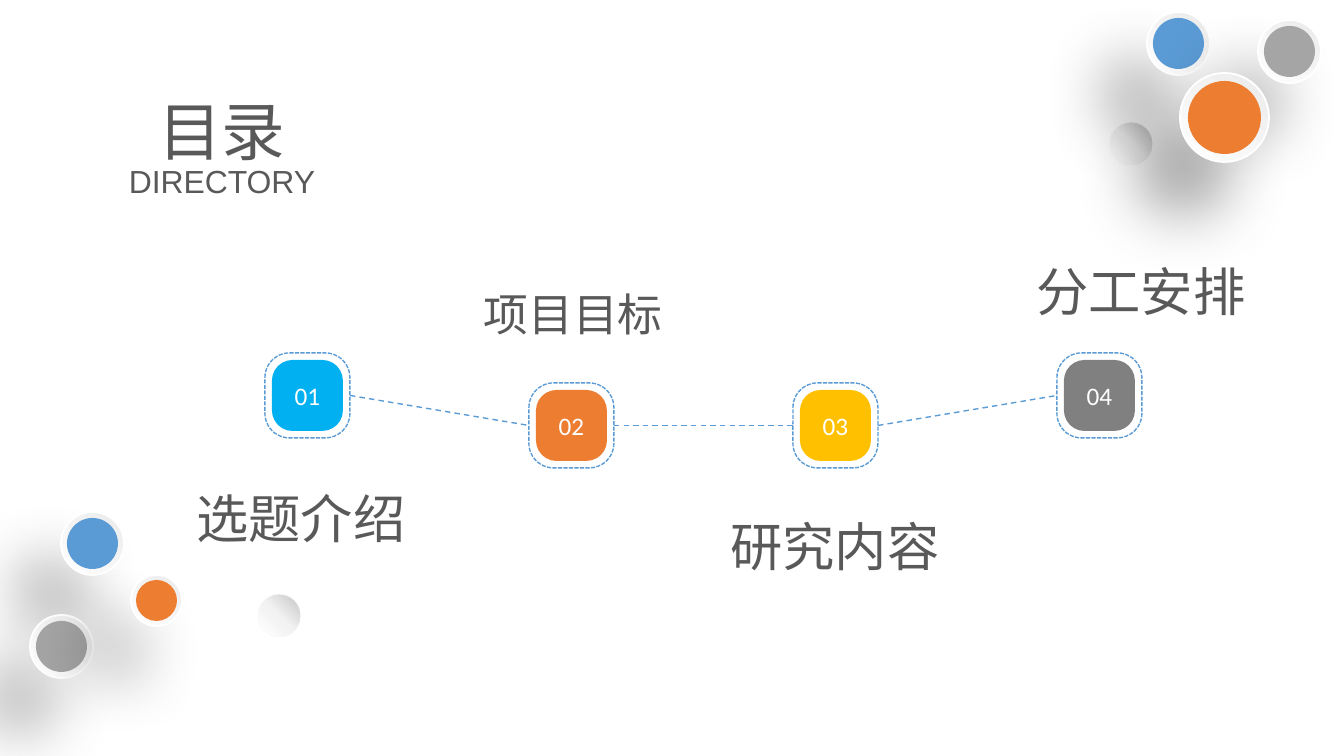
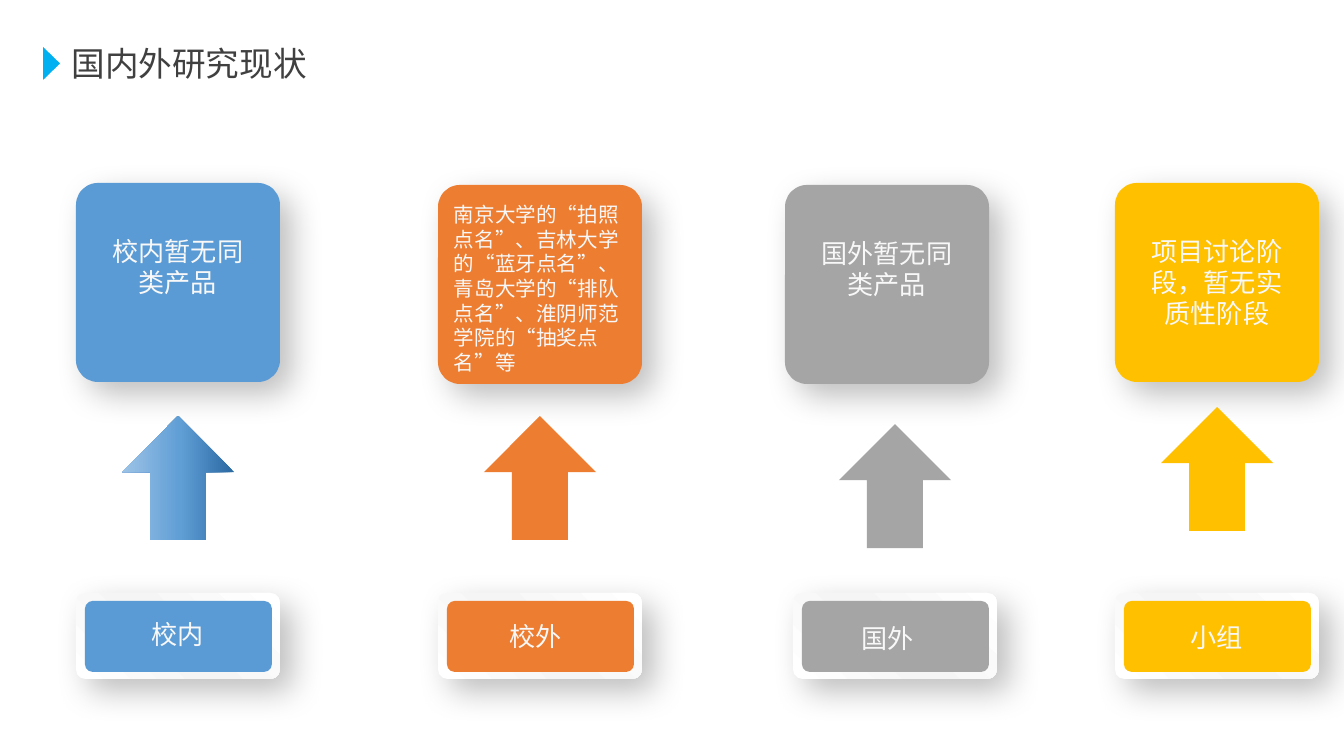
"""Build the directory slide and the research status slide."""
import lxml.etree
import pptx
import pptx.dml.color
import pptx.enum.dml
import pptx.enum.shapes
import pptx.enum.text
import pptx.oxml.ns
import pptx.util

RGB = pptx.dml.color.RGBColor
KIND = pptx.enum.shapes.MSO_SHAPE
DASH = pptx.enum.dml.MSO_LINE
ALIGN = pptx.enum.text.PP_ALIGN
ANCHOR = pptx.enum.text.MSO_ANCHOR
FIT = pptx.enum.text.MSO_AUTO_SIZE
qn = pptx.oxml.ns.qn

PX = 914400 / 134.4
WIDTH, HEIGHT = 1344, 756

BLUE = RGB(0x5B, 0x9B, 0xD5)
ORANGE = RGB(0xED, 0x7D, 0x31)
GRAY = RGB(0xA5, 0xA5, 0xA5)
YELLOW = RGB(0xFF, 0xC0, 0x00)
CYAN = RGB(0x00, 0xB0, 0xF0)
DARK_GRAY = RGB(0x80, 0x80, 0x80)
HEADING = RGB(0x59, 0x59, 0x59)
TITLE = RGB(0x40, 0x40, 0x40)
PALE = RGB(0xF8, 0xF8, 0xF8)
WHITE = RGB(0xFF, 0xFF, 0xFF)

CJK = "Noto Sans CJK SC"

RING_FILL = (126, [(0, "EBEBEB"), (100, "FEFEFE")])
RIM_FILL = (135, [(0, "F2F2F2"), (55, "F2F2F2"), (100, "D9D9D9")])
PEARL_FILL = (315, [(0, "FFFFFF"), (51, "F2F2F2"), (100, "C5C5C5")])
PANEL_FILL = (315, [(0, "FFFFFF"), (47, "F5F5F5"), (100, "FFFFFF")])
ARROW_FILL = (270, [(0, "2A69A2"), (48, "609ED6"), (100, "9DC3E6")])

BUBBLE_SHADOW = {"alpha": 38, "blur": 36, "dist": 35, "angle": 130}
CARD_SHADOW = {"alpha": 25, "blur": 18, "dist": 9, "angle": 45}

PEARLS = [(258, 594), (1110, 122)]
BUBBLES = [
    (61, 512, 63, 51, BLUE), (30, 615, 63, 51, GRAY), (131, 575, 51, 41, ORANGE),
    (1147, 12, 63, 51, BLUE), (1258, 20, 63, 51, GRAY), (1180, 73, 89, 73, ORANGE),
]

STEPS = [
    ("01", CYAN, 353, "选题介绍", (176, 480, 250, 77), 28),
    ("02", ORANGE, 383, "项目目标", (448, 280, 250, 67), 24),
    ("03", YELLOW, 383, "研究内容", (710, 508, 250, 77), 28),
    ("04", DARK_GRAY, 353, "分工安排", (1016, 253, 250, 77), 28),
]
STEP_LEFT, STEP_PITCH, STEP_SIZE, STEP_INSET = 265, 264, 85, 7

MIDDLE_NOTE = {"offset": (22, 48), "box": (160, 109), "size": 14, "align": ALIGN.CENTER}
LONG_NOTE = {"offset": (7, 13), "box": (192, 167), "size": 11, "align": ALIGN.LEFT}
COLUMNS = [
    {"scope": "校内", "scope_at": (98, 614), "status": "校内暂无同类产品", "color": BLUE,
     "panel": 76, "card": (76, 183), "arrow": 422, "arrow_fill": ARROW_FILL,
     "note": MIDDLE_NOTE},
    {"scope": "校外", "scope_at": (456, 616),
     "status": "南京大学的“拍照点名”、吉林大学的“蓝牙点名”、青岛大学的“排队点名”、淮阴师范学院的“抽奖点名”等",
     "color": ORANGE, "panel": 438, "card": (438, 185), "arrow": 422,
     "arrow_fill": ORANGE, "note": LONG_NOTE},
    {"scope": "国外", "scope_at": (808, 618), "status": "国外暂无同类产品", "color": GRAY,
     "panel": 793, "card": (785, 185), "arrow": 430, "arrow_fill": GRAY,
     "note": MIDDLE_NOTE},
    {"scope": "小组", "scope_at": (1137, 617), "status": "项目讨论阶段，暂无实质性阶段",
     "color": YELLOW, "panel": 1115, "card": (1115, 183), "arrow": 413,
     "arrow_fill": YELLOW, "note": MIDDLE_NOTE},
]
PANEL_TOP = 593


def emu(*lengths):
    return [pptx.util.Emu(round(length * PX)) for length in lengths]


def add_node(parent, tag, **values):
    attributes = {name: str(value) for name, value in values.items()}
    return lxml.etree.SubElement(parent, qn(tag), attributes)


def paint(fill, look):
    if look is None:
        fill.background()
    elif isinstance(look, RGB):
        fill.solid()
        fill.fore_color.rgb = look
    else:
        fill.gradient()
        fill.gradient_angle = (360 - look[0]) % 360


def set_stops(shape, stops):
    stop_list = next(shape.element.spPr.iter(qn("a:gsLst")))
    for stop in list(stop_list):
        stop_list.remove(stop)
    for position, color in stops:
        add_node(add_node(stop_list, "a:gs", pos=position * 1000), "a:srgbClr", val=color)


def set_line(line, color, width, dash=None):
    line.color.rgb = color
    line.width = pptx.util.Pt(width)
    if dash is not None:
        line.dash_style = dash


def draw(slide, kind, box, look=None, line=None, corner=None, shadow=None, turn=0):
    shape = slide.shapes.add_shape(kind, *emu(*box))
    paint(shape.fill, look)
    if isinstance(look, tuple) and not isinstance(look, RGB):
        set_stops(shape, look[1])
    if line:
        set_line(shape.line, *line)
    else:
        shape.line.fill.background()
    if corner is not None:
        shape.adjustments[0] = corner
    shape.rotation = turn
    shape.shadow.inherit = False
    if shadow:
        cast = add_node(shape.element.spPr.find(qn("a:effectLst")), "a:outerShdw",
                        blurRad=shadow["blur"] * 12700, dist=shadow["dist"] * 12700,
                        dir=shadow["angle"] * 60000, algn="ctr", rotWithShape=0)
        add_node(add_node(cast, "a:srgbClr", val="000000"), "a:alpha",
                 val=shadow["alpha"] * 1000)
    return shape


def write(shape, words, size, color, font="Calibri", align=ALIGN.CENTER, insets=None, **layout):
    frame = shape.text_frame
    frame.text = words
    layout = {"word_wrap": True, "vertical_anchor": ANCHOR.TOP, **layout}
    if insets:
        across, down = emu(*insets)
        layout.update(margin_left=across, margin_right=across,
                      margin_top=down, margin_bottom=down)
    for name, value in layout.items():
        setattr(frame, name, value)
    paragraph = frame.paragraphs[0]
    paragraph.alignment = align
    run = paragraph.runs[0]
    for name, value in {"size": pptx.util.Pt(size), "name": font, "bold": False}.items():
        setattr(run.font, name, value)
    run.font.color.rgb = color
    add_node(run.font._element, "a:ea", typeface=CJK)


def place_title(slide, words, box, size, color, align):
    title = slide.shapes.title
    for name, value in zip(("left", "top", "width", "height"), emu(*box)):
        setattr(title, name, value)
    write(title, words, size, color, CJK, align, word_wrap=False,
          auto_size=FIT.SHAPE_TO_FIT_TEXT)


def add_bubbles(slide):
    for left, top in PEARLS:
        draw(slide, KIND.DONUT, (left, top, 43, 43), RIM_FILL, corner=0.05)
        draw(slide, KIND.OVAL, (left, top + 1, 42, 42), PEARL_FILL)
    for left, top, outer, inner, color in BUBBLES:
        gap = (outer - inner) / 2
        draw(slide, KIND.OVAL, (left, top, outer, outer), RING_FILL, (WHITE, 1),
             shadow=BUBBLE_SHADOW)
        draw(slide, KIND.OVAL, (left + gap, top + gap, inner, inner), color)


def build_directory(slide):
    place_title(slide, "目录", (144, 85, 156, 91), 34.1, HEADING, ALIGN.CENTER)
    add_bubbles(slide)
    subtitle = slide.shapes.add_textbox(*emu(109, 155, 226, 52))
    write(subtitle, "DIRECTORY", 17.1, HEADING, "Arial", auto_size=FIT.SHAPE_TO_FIT_TEXT)

    frames = []
    tile_size = STEP_SIZE - 2 * STEP_INSET
    for index, (number, color, top, topic, topic_box, size) in enumerate(STEPS):
        left = STEP_LEFT + index * STEP_PITCH
        tile = draw(slide, KIND.ROUNDED_RECTANGLE,
                    (left + STEP_INSET, top + STEP_INSET, tile_size, tile_size),
                    color, corner=0.29)
        write(tile, number, 13.5, WHITE, vertical_anchor=ANCHOR.MIDDLE)
        label = slide.shapes.add_textbox(*emu(*topic_box))
        write(label, topic, size, HEADING, CJK, auto_size=FIT.SHAPE_TO_FIT_TEXT)
        frames.append(draw(slide, KIND.ROUNDED_RECTANGLE, (left, top, STEP_SIZE, STEP_SIZE),
                           line=(BLUE, 0.75, DASH.SQUARE_DOT), corner=0.29))

    for before, after in zip(frames, frames[1:]):
        link = slide.shapes.add_connector(pptx.enum.shapes.MSO_CONNECTOR.STRAIGHT, 0, 0, 0, 0)
        link.begin_connect(before, 3)
        link.end_connect(after, 1)
        set_line(link.line, BLUE, 0.75, DASH.DASH)
        add_node(link.element.spPr, "a:effectLst")


def build_status(slide):
    place_title(slide, "国内外研究现状", (58, 36, 265, 54), 18, TITLE, ALIGN.LEFT)
    draw(slide, KIND.ISOSCELES_TRIANGLE, (35, 55, 33, 17), CYAN, turn=90)
    for column in COLUMNS:
        color, panel, note = column["color"], column["panel"], column["note"]
        left, top = column["card"]
        plates = [
            ((panel, PANEL_TOP, 204, 86), PANEL_FILL, CARD_SHADOW),
            ((panel + 9, PANEL_TOP + 8, 187, 71), color, None),
            ((left, top, 204, 199), color, CARD_SHADOW),
            ((left + 9, top + 17, 187, 164), color, None),
        ]
        for box, look, shadow in plates:
            draw(slide, KIND.ROUNDED_RECTANGLE, box, look, corner=0.11, shadow=shadow)
        scope = slide.shapes.add_textbox(*emu(*column["scope_at"], 160, 47))
        write(scope, column["scope"], 14, PALE, insets=(9, 4))
        across, down = note["offset"]
        status = draw(slide, KIND.RECTANGLE, (left + across, top + down, *note["box"]), color)
        write(status, column["status"], note["size"], PALE, align=note["align"], insets=(9, 4))
        draw(slide, KIND.RIGHT_ARROW, (panel + 40, column["arrow"], 124, 112),
             column["arrow_fill"], turn=270)


def main():
    deck = pptx.Presentation()
    deck.slide_width, deck.slide_height = emu(WIDTH, HEIGHT)
    title_only = deck.slide_layouts[5]
    for build in (build_directory, build_status):
        build(deck.slides.add_slide(title_only))
    deck.save("out.pptx")


if __name__ == "__main__":
    main()
